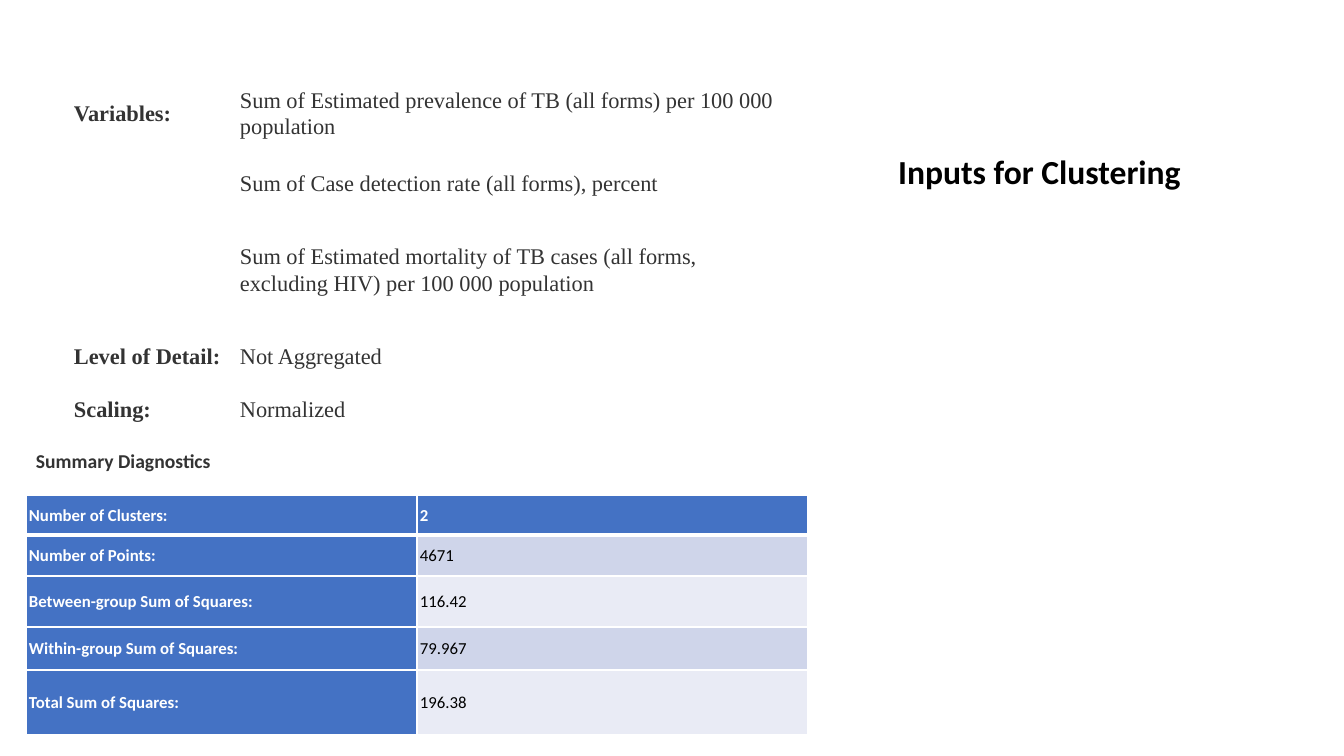
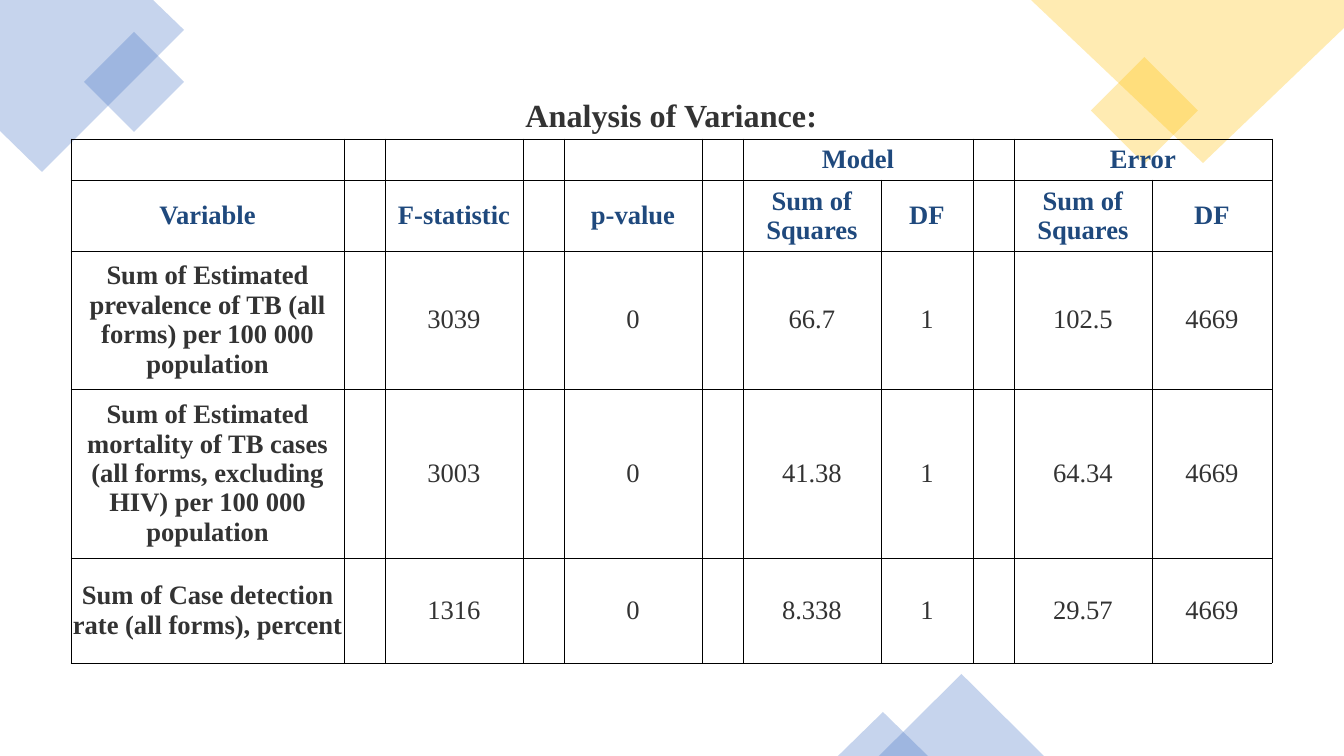
from lxml import etree
from pptx import Presentation, util as u
from pptx.dml.color import RGBColor
from pptx.enum import shapes, text
from pptx.oxml.ns import qn

EMU_PER_PX = 914400 / 100.8
TITLE_ONLY, BLANK = 5, 6
NO_GRID_STYLE = "{2D5ABB26-0587-4C30-8999-92F81FD0307C}"
BLUE, GOLD, NAVY = "4472C4", "FFC000", "1F497D"
INK, BLACK, WHITE = "333333", "000000", "FFFFFF"
BANDS = ("E9EBF5", "CFD5EA")
SANS, SERIF = "Calibri", "Times New Roman"
EDGES = ("L", "R", "T", "B")
MARGINS = ("margin_left", "margin_top", "margin_right", "margin_bottom")
SPACED = {"line_spacing": 1.07, "space_after": u.Pt(8)}
CENTERED = {"alignment": text.PP_ALIGN.CENTER}

PREVALENCE = "Sum of Estimated prevalence of TB (all forms) per 100 000 population"
MORTALITY = "Sum of Estimated mortality of TB cases (all forms, excluding HIV) per 100 000 population"
DETECTION = "Sum of Case detection rate (all forms), percent"

INPUTS = [
    ("Variables:", PREVALENCE),
    ("", DETECTION),
    ("", MORTALITY),
    ("Level of Detail:", "Not Aggregated"),
    ("Scaling:", "Normalized"),
]
DIAGNOSTICS = [
    ("Number of Clusters:", "2"),
    ("Number of Points:", "4671"),
    ("Between-group Sum of Squares:", "116.42"),
    ("Within-group Sum of Squares:", "79.967"),
    ("Total Sum of Squares:", "196.38"),
]
VARIANCE = [
    ("Analysis of Variance:",) + ("",) * 10,
    ("", "", "", "", "", "", "Model", "", "", "Error", ""),
    ("Variable", "", "F-statistic", "", "p-value", "",
     "Sum of Squares", "DF", "", "Sum of Squares", "DF"),
    (PREVALENCE, "", "3039", "", "0", "", "66.7", "1", "", "102.5", "4669"),
    (MORTALITY, "", "3003", "", "0", "", "41.38", "1", "", "64.34", "4669"),
    (DETECTION, "", "1316", "", "0", "", "8.338", "1", "", "29.57", "4669"),
]


def px(*lengths):
    """Turn pixel lengths into a list of EMU."""
    return [u.Emu(round(length * EMU_PER_PX)) for length in lengths]


def rgb(value):
    """Turn a hex string into a colour."""
    return RGBColor.from_string(value)


def apply(target, values):
    """Set each attribute named in a dict of format values."""
    for name, value in values.items():
        setattr(target, name, value)


def write(frame, content, font, color, spacing):
    """Write one formatted paragraph into a text frame."""
    paragraph = frame.paragraphs[0]
    apply(paragraph, spacing)
    run = paragraph.add_run()
    run.text = content
    apply(run.font, font)
    run.font.color.rgb = rgb(color)


def font_format(name, size, bold):
    """Return the font values shared by titles, labels and cells."""
    return {"name": name, "size": u.Pt(size), "bold": bold}


def add_title(slide, box, content):
    """Place and format the title placeholder."""
    title = slide.shapes.title
    apply(title, dict(zip(("left", "top", "width", "height"), px(*box))))
    apply(title.text_frame, {
        "auto_size": text.MSO_AUTO_SIZE.NONE,
        "vertical_anchor": text.MSO_ANCHOR.BOTTOM,
        "word_wrap": True,
    })
    write(title.text_frame, content, font_format(SANS, 24, True), BLACK, {
        "alignment": text.PP_ALIGN.LEFT, "line_spacing": 0.9, "space_after": u.Pt(6),
    })


def add_label(slide, box, content):
    """Add a bold section label."""
    frame = slide.shapes.add_textbox(*px(*box)).text_frame
    apply(frame, {"word_wrap": True, "vertical_anchor": text.MSO_ANCHOR.MIDDLE})
    write(frame, content, font_format(SANS, 14, True), INK, {})


def tint(shape, color):
    """Give a decorative shape a translucent fill and no outline."""
    shape.shadow.inherit = False
    shape.line.fill.background()
    shape.fill.solid()
    shape.fill.fore_color.rgb = rgb(color)
    fill_color = shape.fill._xPr.find(qn("a:solidFill"))[0]
    etree.SubElement(fill_color, qn("a:alpha"), val="30000")


def add_preset(slide, kind, box, color):
    """Add a translucent preset shape."""
    tint(slide.shapes.add_shape(kind, *px(*box)), color)


def add_polygon(slide, points, color):
    """Add a translucent polygon through pixel points."""
    builder = slide.shapes.build_freeform(*points[0], scale=EMU_PER_PX)
    builder.add_line_segments(points[1:], close=True)
    tint(builder.convert_to_shape(), color)


def set_borders(cell, borders):
    """Draw the cell borders given as edge: (colour, points)."""
    properties = cell._tc.get_or_add_tcPr()
    ordered = [edge for edge in EDGES if edge in borders]
    for position, edge in enumerate(ordered):
        color, width = borders[edge]
        line = etree.Element(qn(f"a:ln{edge}"), w=str(u.Pt(width)))
        fill = etree.SubElement(line, qn("a:solidFill"))
        etree.SubElement(fill, qn("a:srgbClr"), val=color)
        properties.insert(position, line)


def add_table(slide, origin, widths, heights, values, style_at, merges=()):
    """Add a table whose cells are styled by row and column."""
    size = px(sum(widths), sum(heights))
    table = slide.shapes.add_table(len(heights), len(widths), *px(*origin), *size).table
    table._tbl.tblPr.find(qn("a:tableStyleId")).text = NO_GRID_STYLE
    apply(table, {"first_row": False, "horz_banding": False})
    for column, width in zip(table.columns, px(*widths)):
        column.width = width
    for row, height in zip(table.rows, px(*heights)):
        row.height = height
    for row, first, last in merges:
        table.cell(row, first).merge(table.cell(row, last))
    for row, contents in enumerate(values):
        for column, content in enumerate(contents):
            format_cell(table.cell(row, column), content, style_at(row, column))


def format_cell(cell, content, style):
    """Fill, border and write one table cell."""
    apply(cell, dict(zip(MARGINS, px(*style["margins"]))))
    cell.vertical_anchor = text.MSO_ANCHOR.MIDDLE
    if "fill" in style:
        cell.fill.solid()
        cell.fill.fore_color.rgb = rgb(style["fill"])
    else:
        cell.fill.background()
    set_borders(cell, style.get("borders", {}))
    if content:
        write(cell.text_frame, content, style["font"], style["color"], style["spacing"])


def input_style(row, column):
    """Style the clustering inputs: bold names, plain values."""
    return {"margins": (6, 2, 6, 2), "font": font_format(SERIF, 16, column == 0),
            "color": INK, "spacing": SPACED}


def diagnostic_style(row, column):
    """Style the diagnostics: blue header and names, banded values."""
    strong = row == 0 or column == 0
    borders = dict.fromkeys(EDGES, (WHITE, 1))
    if row < 2:
        borders["T" if row else "B"] = (WHITE, 3)
    return {"margins": (3, 1, 3, 1), "font": font_format(SANS, 12, strong),
            "color": WHITE if strong else BLACK, "spacing": SPACED,
            "fill": BLUE if strong else BANDS[row % 2], "borders": borders}


def variance_style(row, column):
    """Style the variance table: caption, two header rows, then data."""
    return {"margins": (1, 1, 1, 0) if row in (0, 2) else (1, 2, 1, 2),
            "font": font_format(SERIF, 19 if row else 23, row < 3 or column == 0),
            "color": NAVY if row in (1, 2) else INK, "spacing": CENTERED,
            "borders": dict.fromkeys(EDGES if row else "B", (BLACK, 0.5))}


def build_inputs_slide(presentation):
    """Build the slide of clustering inputs and diagnostics."""
    slide = presentation.slides.add_slide(presentation.slide_layouts[TITLE_ONLY])
    add_title(slide, (888, 52, 353, 145), "Inputs for Clustering")
    add_table(slide, (68, 78), (166, 560), (70, 70, 103, 70, 36), INPUTS, input_style)
    add_table(slide, (26, 495), (391, 391), (40, 41, 51, 43, 65),
              DIAGNOSTICS, diagnostic_style)
    add_label(slide, (26, 444, 199, 34), "Summary Diagnostics")


def build_variance_slide(presentation):
    """Build the slide with the analysis of variance."""
    slide = presentation.slides.add_slide(presentation.slide_layouts[BLANK])
    diamond = shapes.MSO_SHAPE.DIAMOND
    triangle = shapes.MSO_SHAPE.ISOSCELES_TRIANGLE
    add_polygon(slide, [(0, 0), (153, 0), (184, 30), (42, 172), (0, 131)], BLUE)
    add_preset(slide, diamond, (84, 32, 100, 100), BLUE)
    add_preset(slide, diamond, (1091, 57, 107, 107), GOLD)
    add_polygon(slide, [(1031, 0), (1344, 0), (1344, 28), (1203, 163)], GOLD)
    add_preset(slide, triangle, (879, 674, 165, 82), BLUE)
    add_preset(slide, triangle, (838, 712, 90, 44), BLUE)
    gap, number = 41, 138
    widths = (273, gap, number, gap, number, gap, number, 92, gap, number, 120)
    add_table(slide, (71, 93), widths, (46, 41, 71, 138, 169, 105), VARIANCE,
              variance_style, merges=((0, 0, 10), (1, 6, 7), (1, 9, 10)))


def main():
    """Build and save the presentation."""
    presentation = Presentation()
    presentation.slide_width, presentation.slide_height = px(1344, 756)
    build_inputs_slide(presentation)
    build_variance_slide(presentation)
    presentation.save("out.pptx")


if __name__ == "__main__":
    main()
